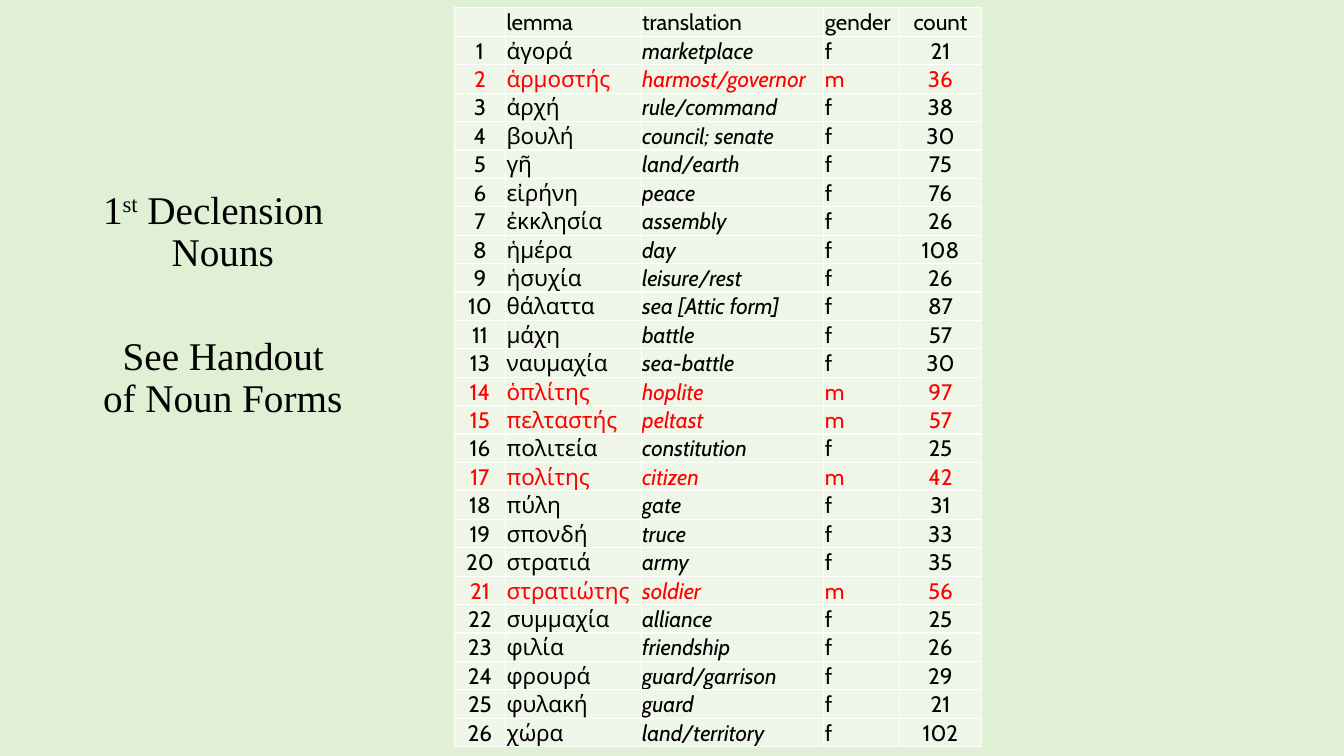
from lxml.etree import SubElement
from pptx import Presentation
from pptx.dml.color import RGBColor
from pptx.enum.text import MSO_ANCHOR, MSO_AUTO_SIZE, PP_ALIGN
from pptx.oxml.ns import qn
from pptx.util import Pt

CENTER, LEFT = PP_ALIGN.CENTER, PP_ALIGN.LEFT
TOP, BOTTOM = MSO_ANCHOR.TOP, MSO_ANCHOR.BOTTOM
NO_AUTOFIT = MSO_AUTO_SIZE.NONE

COLORS = {"page": "DFF0D4", "cell": "EFF6E8", "border": "FFFFFF",
          "text": "000000", "masculine": "FF0000"}
TITLE_FONT, TABLE_FONT = "Times New Roman", "Cabin"
PAGE_WIDTH, PAGE_HEIGHT = Pt(960), Pt(540)
TABLE_LEFT, TABLE_TOP, ROW_HEIGHT = 324.5, 5.6, 20.3
COLUMN_WIDTHS = [36.6, 96.9, 130.5, 53.8, 59]
COLUMN_ALIGNS = [CENTER, LEFT, LEFT, LEFT, CENTER]
TRANSLATION, GENDER = 2, 3

NOUNS = [
    ("", "lemma", "translation", "gender", "count"),
    ("1", "ἀγορά", "marketplace", "f", "21"),
    ("2", "ἁρμοστής", "harmost/governor", "m", "36"),
    ("3", "ἀρχή", "rule/command", "f", "38"),
    ("4", "βουλή", "council; senate", "f", "30"),
    ("5", "γῆ", "land/earth", "f", "75"),
    ("6", "εἰρήνη", "peace", "f", "76"),
    ("7", "ἐκκλησία", "assembly", "f", "26"),
    ("8", "ἡμέρα", "day", "f", "108"),
    ("9", "ἡσυχία", "leisure/rest", "f", "26"),
    ("10", "θάλαττα", "sea [Attic form]", "f", "87"),
    ("11", "μάχη", "battle", "f", "57"),
    ("13", "ναυμαχία", "sea-battle", "f", "30"),
    ("14", "ὁπλίτης", "hoplite", "m", "97"),
    ("15", "πελταστής", "peltast", "m", "57"),
    ("16", "πολιτεία", "constitution", "f", "25"),
    ("17", "πολίτης", "citizen", "m", "42"),
    ("18", "πύλη", "gate", "f", "31"),
    ("19", "σπονδή", "truce", "f", "33"),
    ("20", "στρατιά", "army", "f", "35"),
    ("21", "στρατιώτης", "soldier", "m", "56"),
    ("22", "συμμαχία", "alliance", "f", "25"),
    ("23", "φιλία", "friendship", "f", "26"),
    ("24", "φρουρά", "guard/garrison", "f", "29"),
    ("25", "φυλακή", "guard", "f", "21"),
    ("26", "χώρα", "land/territory", "f", "102"),
]


def color(name):
    return RGBColor.from_string(COLORS[name])


def set_font(font, name, size, color_name="text"):
    font.name, font.size = name, Pt(size)
    font.color.rgb = color(color_name)


def format_heading(para, margin, first_indent, space_before):
    """Indent the first line and the following lines separately, without a bullet."""
    properties = para._p.get_or_add_pPr()
    properties.set("marL", str(Pt(margin)))
    properties.set("indent", str(Pt(first_indent)))
    para.alignment = LEFT
    para.line_spacing = Pt(30)
    para.space_before, para.space_after = Pt(space_before), Pt(0)
    SubElement(properties, qn("a:buNone"))
    for span in para.runs:
        set_font(span.font, TITLE_FONT, 28)


def fill_body(body):
    body.left, body.top, body.width, body.height = 0, 0, PAGE_WIDTH, PAGE_HEIGHT
    body.fill.solid()
    body.fill.fore_color.rgb = color("page")
    frame = body.text_frame
    frame.auto_size, frame.word_wrap = NO_AUTOFIT, True
    frame.vertical_anchor = TOP
    frame.margin_left = frame.margin_right = frame.margin_bottom = Pt(3.6)
    frame.margin_top = Pt(136)

    declension = frame.paragraphs[0]
    for text in ("1", "st", " Declension"):
        declension.add_run().text = text
    declension.runs[1].font._element.set("baseline", "30000")
    declension.add_line_break()
    declension.add_run().text = "Nouns"
    format_heading(declension, 119, -49, 0)

    handout = frame.add_paragraph()
    handout.text = "See Handout\vof Noun Forms"
    format_heading(handout, 70, 14, 44)


def add_borders(cell):
    properties = cell._tc.get_or_add_tcPr()
    for position, side in enumerate(("a:lnL", "a:lnR", "a:lnT", "a:lnB")):
        line = properties.makeelement(qn(side), {"w": str(Pt(1))})
        fill = SubElement(line, qn("a:solidFill"))
        SubElement(fill, qn("a:srgbClr"), val=COLORS["border"])
        properties.insert(position, line)


def fill_cell(cell, text, align, color_name, italic):
    cell.fill.solid()
    cell.fill.fore_color.rgb = color("cell")
    add_borders(cell)
    cell.margin_left = cell.margin_right = cell.margin_top = Pt(0.72)
    cell.margin_bottom = 0
    cell.vertical_anchor = BOTTOM
    cell.text_frame.text = text
    para = cell.text_frame.paragraphs[0]
    para.alignment = align
    for span in para.runs:
        set_font(span.font, TABLE_FONT, 16, color_name)
        span.font.italic = italic
    if not text:
        SubElement(para._p, qn("a:endParaRPr"), sz="1600")


def add_noun_table(page):
    frame = page.shapes.add_table(
        len(NOUNS), len(COLUMN_WIDTHS), Pt(TABLE_LEFT), Pt(TABLE_TOP),
        Pt(sum(COLUMN_WIDTHS)), Pt(ROW_HEIGHT * len(NOUNS)))
    table = frame.table
    table.first_row = table.horz_banding = False
    for column, width in zip(table.columns, COLUMN_WIDTHS):
        column.width = Pt(width)
    for row_index, noun in enumerate(NOUNS):
        table.rows[row_index].height = Pt(ROW_HEIGHT)
        color_name = "masculine" if noun[GENDER] == "m" else "text"
        for column_index, text in enumerate(noun):
            italic = row_index > 0 and column_index == TRANSLATION
            fill_cell(table.cell(row_index, column_index), text,
                      COLUMN_ALIGNS[column_index], color_name, italic)


def main():
    deck = Presentation()
    deck.slide_width, deck.slide_height = PAGE_WIDTH, PAGE_HEIGHT
    page = deck.slides.add_slide(deck.slide_layouts[1])
    title = page.shapes.title._element
    title.getparent().remove(title)
    fill_body(page.placeholders[1])
    add_noun_table(page)
    deck.save("out.pptx")


if __name__ == "__main__":
    main()
